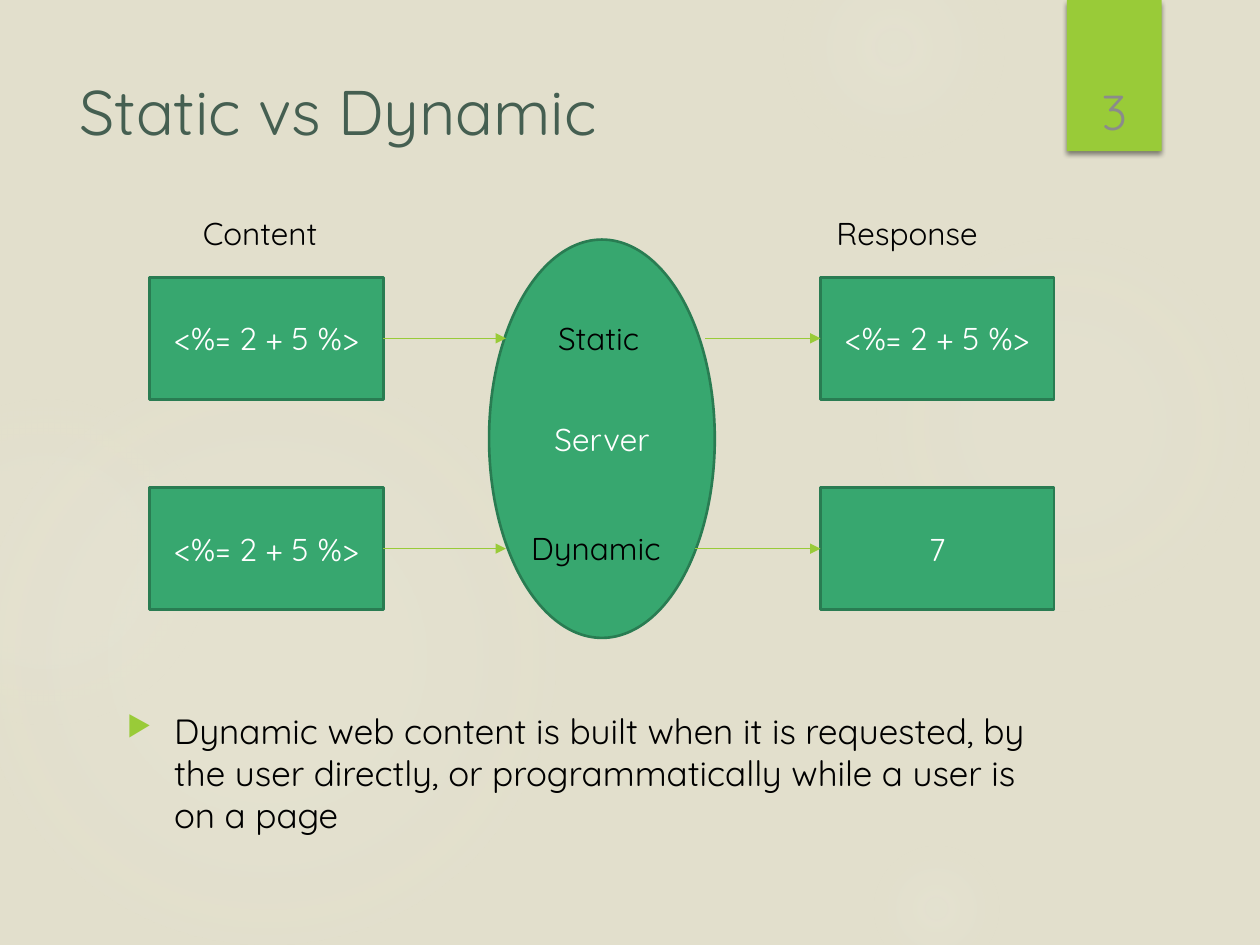
from lxml.etree import SubElement
from pptx import Presentation
from pptx.dml.color import RGBColor
from pptx.enum.shapes import MSO_CONNECTOR, MSO_SHAPE
from pptx.enum.text import MSO_ANCHOR, PP_ALIGN
from pptx.oxml import parse_xml
from pptx.oxml.ns import nsdecls, qn
from pptx.util import Cm, Pt

FONT = "Quicksand"
LIME, GREEN, DARK_GREEN = "99CB38", "37A76F", "297C52"
WHITE, BLACK = "FFFFFF", "000000"


def color(hex_value):
    return RGBColor.from_string(hex_value)


def write(frame, text, size=18, ink=BLACK, align=PP_ALIGN.LEFT,
          anchor=MSO_ANCHOR.TOP, wrap=True):
    frame.word_wrap = wrap
    frame.vertical_anchor = anchor
    paragraph = frame.paragraphs[0]
    paragraph.alignment = align
    run = paragraph.add_run()
    run.text = text
    run.font.name = FONT
    run.font.size = Pt(size)
    run.font.color.rgb = color(ink)
    return paragraph


def add_text(slide, box, text, **style):
    label = slide.shapes.add_textbox(*map(Cm, box))
    return write(label.text_frame, text, **style)


def add_block(slide, kind, box, fill=None, line=None):
    block = slide.shapes.add_shape(kind, *map(Cm, box))
    block.shadow.inherit = False
    if fill:
        block.fill.solid()
        block.fill.fore_color.rgb = color(fill)
    else:
        block.fill.background()
    if line:
        block.line.color.rgb = color(line)
        block.line.width = Pt(1.5)
    else:
        block.line.fill.background()
    return block


def add_node(slide, kind, box, text):
    node = add_block(slide, kind, box, GREEN, DARK_GREEN)
    write(node.text_frame, text, ink=WHITE, align=PP_ALIGN.CENTER,
          anchor=MSO_ANCHOR.MIDDLE)


def add_arrow(slide, start, end, y):
    arrow = slide.shapes.add_connector(
        MSO_CONNECTOR.STRAIGHT, Cm(start), Cm(y), Cm(end), Cm(y))
    arrow.line.color.rgb = color(LIME)
    arrow.line.width = Pt(0.75)
    SubElement(arrow.line._get_or_add_ln(), qn("a:tailEnd"), type="triangle")
    SubElement(arrow._element.spPr, qn("a:effectLst"))


def add_glow(slide, left, top, size, stops):
    glow = add_block(slide, MSO_SHAPE.OVAL, (left, top, size, size))
    stop_xml = "".join(
        f'<a:gs pos="{place * 1000}"><a:srgbClr val="F3F2EB">'
        f'<a:alpha val="{alpha * 1000}"/></a:srgbClr></a:gs>'
        for place, alpha in stops)
    gradient = parse_xml(
        f'<a:gradFill {nsdecls("a")}><a:gsLst>{stop_xml}</a:gsLst>'
        '<a:path path="circle"><a:fillToRect l="50000" t="50000" r="50000" '
        'b="50000"/></a:path></a:gradFill>')
    properties = glow._element.spPr
    properties.replace(properties.find(qn("a:noFill")), gradient)


def add_backdrop(slide):
    slide.background.fill.solid()
    slide.background.fill.fore_color.rgb = color("E2DFCC")
    # left, top, diameter, then inner, middle and outer opacity with its reach
    for left, top, size, inner, middle, reach in (
            (17.5, 4.65, 7.82, 7, 6, 69), (15.8, -1.27, 4.45, 14, 7, 73),
            (17.5, 16.94, 2.74, 14, 7, 66), (-0.43, 7.42, 11.63, 11, 10, 75),
            (-2.34, 8.05, 6.55, 8, 8, 72)):
        add_glow(slide, left, top, size, ((0, inner), (36, middle), (reach, 0)))


def add_page_tab(slide, left, top, width, height):
    tab = add_block(slide, MSO_SHAPE.RECTANGLE, (left, top, width, height), LIME)
    tab._element.spPr.find(qn("a:effectLst")).append(parse_xml(
        f'<a:outerShdw {nsdecls("a")} blurRad="38100" dist="25400" dir="5400000" '
        'rotWithShape="0"><a:srgbClr val="000000"><a:alpha val="45000"/>'
        '</a:srgbClr></a:outerShdw>'))
    add_text(slide, (left, top + 1.52, width, 1.45), "3", size=28, ink="8B8B8B",
             align=PP_ALIGN.CENTER, anchor=MSO_ANCHOR.MIDDLE)


def add_diagram(slide, left, top):
    node_width, node_height = 4.71, 2.46
    response_x = left + 13.52
    server_x = left + 6.84
    node_top, row_gap = top + 1.4, 4.24

    # Server and column headings
    add_node(slide, MSO_SHAPE.OVAL, (server_x, top + 0.64, 4.55, 8.03), "Server")
    for x, width, heading in ((left + 0.82, 3.1, "Content"),
                              (response_x + 0.07, 3.48, "Response")):
        add_text(slide, (x, top, width, 1.02), heading, wrap=False)

    # One row per kind of content
    rows = (("Static", "<%= 2 + 5 %>", 1.14, 2.26, 4.36),
            ("Dynamic", "7", 0.6, 3.3, 4.16))
    for index, (mode, response, mode_x, mode_width, exit_x) in enumerate(rows):
        row_top = node_top + index * row_gap
        middle = row_top + node_height / 2
        for x, content in ((left, "<%= 2 + 5 %>"), (response_x, response)):
            add_node(slide, MSO_SHAPE.RECTANGLE,
                     (x, row_top, node_width, node_height), content)
        add_text(slide, (server_x + mode_x, middle - 0.51, mode_width, 1.02),
                 mode, wrap=False)
        add_arrow(slide, left + node_width, server_x + 0.34, middle)
        add_arrow(slide, server_x + exit_x, response_x, middle)


def add_summary(slide, box, text):
    paragraph = add_text(slide, box, text, size=20)
    paragraph.space_before = Pt(10)
    bullet = paragraph._p.get_or_add_pPr()
    bullet.set("marL", str(Cm(0.95)))
    bullet.set("indent", str(-Cm(0.95)))
    SubElement(SubElement(bullet, qn("a:buClr")), qn("a:srgbClr"), val=LIME)
    SubElement(bullet, qn("a:buSzPct"), val="80000")
    SubElement(bullet, qn("a:buChar"), char="\u25b6")


deck = Presentation()
deck.slide_width, deck.slide_height = Cm(25.4), Cm(19.05)
comparison = deck.slides.add_slide(deck.slide_layouts[6])

add_backdrop(comparison)
add_page_tab(comparison, 21.51, 0, 1.91, 3.05)
add_text(comparison, (1.35, 1.27, 19.61, 1.91), "Static vs Dynamic", size=36,
         ink="455F51", anchor=MSO_ANCHOR.MIDDLE)
add_diagram(comparison, 3.02, 4.19)
add_summary(comparison, (2.31, 14.17, 18.64, 3.18),
            "Dynamic web content is built when it is requested, by the user "
            "directly, or programmatically while a user is on a page")

deck.save("out.pptx")
